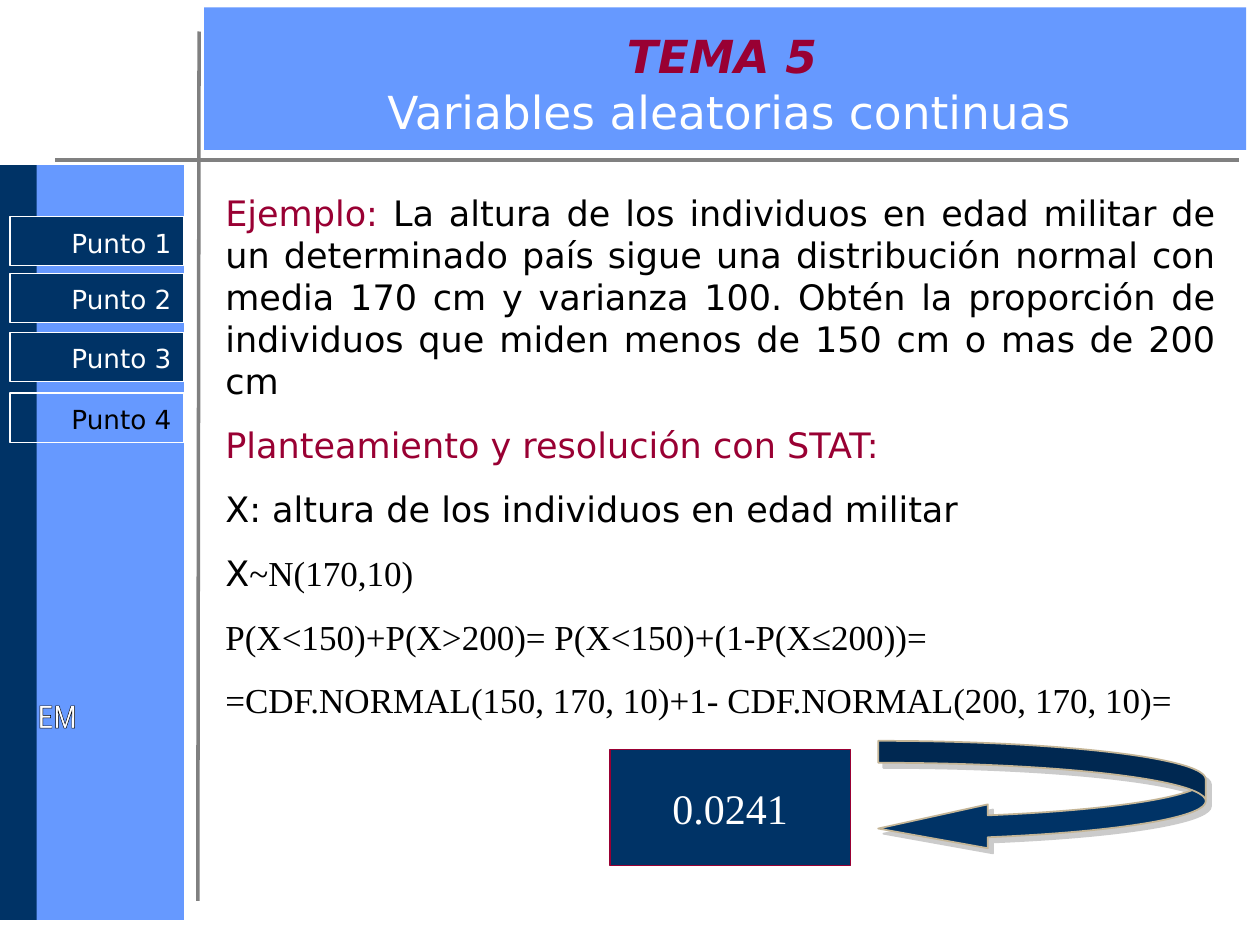
from lxml.etree import SubElement
from pptx import Presentation
from pptx.dml.color import RGBColor
from pptx.enum.shapes import MSO_CONNECTOR as Connector, MSO_SHAPE as Shape
from pptx.enum.text import MSO_ANCHOR as Anchor, PP_ALIGN as Align
from pptx.oxml import parse_xml
from pptx.oxml.ns import nsdecls, qn
from pptx.util import Inches, Pt

COLORS = {"navy": "003366", "blue": "6699FF", "wine": "990033", "white": "FFFFFF",
          "black": "000000", "gray": "808080", "sand": "C4B596", "shadow": "CBCBCB"}
SANS, SERIF, CONDENSED = "DejaVu Sans", "Times New Roman", "Roboto Condensed"

# Content: each run is (text, font, size, color)
PANELS = [((0.27, 1.31, 1.19, 5.99), "blue"), ((0, 1.31, 0.29, 5.99), "navy"),
          ((1.62, 0.06, 8.27, 1.13), "blue")]
RULES = [(0.44, 1.27, 9.83, 1.27), (1.57, 7.15, 1.58, 0.25)]
# Menu entries: label, top, fill, text color
MENU = [("Punto 4", 3.12, None, "black"), ("Punto 1", 1.72, "navy", "white"),
        ("Punto 2", 2.17, "navy", "white"), ("Punto 3", 2.64, "navy", "white")]
TITLE = [[("TEMA 5", SANS, 26, "wine"), (" ", SANS, 24, "white")],
         [("Variables aleatorias continuas", SANS, 26, "white")]]
BODY = [
    (Align.JUSTIFY, [
        ("Ejemplo:", SANS, 20, "wine"),
        (" La altura de los individuos en edad militar de un determinado país sigue una "
         "distribución normal con media 170 cm y varianza 100. Obtén la proporción de "
         "individuos que miden menos de 150 cm o mas de 200 cm", SANS, 20, "black")]),
    (Align.JUSTIFY, [("Planteamiento y resolución con STAT: ", SANS, 20, "wine")]),
    (Align.JUSTIFY, [("X: altura de los individuos en edad militar", SANS, 20, "black")]),
    (Align.JUSTIFY, [("X", SANS, 20, "black"), ("~N(170,10)", SERIF, 20, "black")]),
    (Align.LEFT, [("P(X<150)+P(X>200)= P(X<150)+(1-P(X≤200))=", SERIF, 20, "black")]),
    (Align.LEFT, [("=CDF.NORMAL(150, 170, 10)+1- CDF.NORMAL(200, 170, 10)=",
                   SERIF, 20, "black")]),
]

presentation = Presentation()
presentation.slide_width, presentation.slide_height = Inches(10), Inches(7.5)
slide = presentation.slides.add_slide(presentation.slide_layouts[6])


def rgb(name):
    return RGBColor.from_string(COLORS[name])


def add_block(kind, box, fill=None, line=None, width=0.75):
    shape = slide.shapes.add_shape(kind, *map(Inches, box))
    shape.shadow.inherit = False
    if fill:
        shape.fill.solid()
        shape.fill.fore_color.rgb = rgb(fill)
    else:
        shape.fill.background()
    if line:
        shape.line.color.rgb = rgb(line)
        shape.line.width = Pt(width)
    else:
        shape.line.fill.background()
    return shape


def set_frame(shape, anchor=Anchor.TOP, top=0.05, wrap=True):
    frame = shape.text_frame
    frame.word_wrap = wrap
    frame.vertical_anchor = anchor
    frame.margin_left = frame.margin_right = Inches(0.1)
    frame.margin_top, frame.margin_bottom = Inches(top), Inches(0.05)
    return frame


def add_text(box, **options):
    return set_frame(slide.shapes.add_textbox(*map(Inches, box)), **options)


def add_run(paragraph, text, font, size, color):
    run = paragraph.add_run()
    run.text = text
    run.font.name, run.font.size = font, Pt(size)
    run.font.color.rgb = rgb(color)
    return run


# Background panels and rules
for box, fill in PANELS:
    add_block(Shape.RECTANGLE, box, fill)
for ends in RULES:
    rule = slide.shapes.add_connector(Connector.STRAIGHT, *map(Inches, ends))
    rule.line.color.rgb = rgb("gray")
    rule.line.width = Pt(2)
    SubElement(rule._element.spPr, qn("a:effectLst"))

# Side menu
for label, top, fill, color in MENU:
    entry = add_block(Shape.RECTANGLE, (0.08, top, 1.38, 0.39), fill, "white")
    paragraph = set_frame(entry, top=0.08).paragraphs[0]
    paragraph.alignment = Align.RIGHT
    add_run(paragraph, label, SANS, 15, color)

# Outlined initials with a gradient fill
initials = add_text((0.2, 5.48, 1.83, 1.82), wrap=False).paragraphs[0]
properties = add_run(initials, "EM", CONDENSED, 18, "white").font._element
properties.remove(properties.find(qn("a:solidFill")))
stops = "".join(f'<a:gs pos="{position}"><a:srgbClr val="{color}"/></a:gs>' for position, color
                in [(0, "707070"), (50000, "FFFFFF"), (100000, "707070")])
properties.insert(0, parse_xml(
    f'<a:gradFill {nsdecls("a")}><a:gsLst>{stops}</a:gsLst><a:lin ang="2700000"/></a:gradFill>'))
properties.insert(0, parse_xml(
    f'<a:ln {nsdecls("a")} w="9525"><a:solidFill><a:srgbClr val="{COLORS["black"]}"/>'
    '</a:solidFill></a:ln>'))

# Worked example
frame = add_text((1.69, 1.47, 8.06, 3.97))
for index, (alignment, runs) in enumerate(BODY):
    paragraph = frame.add_paragraph() if index else frame.paragraphs[0]
    paragraph.alignment = alignment
    paragraph.line_spacing = Pt(24)
    paragraph.space_before = Pt(12.5 if index else 0)
    for run in runs:
        add_run(paragraph, *run)

# Result box
result = add_block(Shape.RECTANGLE, (4.84, 5.95, 1.91, 0.92), "navy", "wine")
paragraph = set_frame(result, Anchor.MIDDLE, wrap=False).paragraphs[0]
paragraph.alignment = Align.CENTER
add_run(paragraph, "0.0241", SERIF, 24, "white")

# Title
paragraph = add_text((1.71, 0.27, 8.16, 0.77), anchor=Anchor.MIDDLE).paragraphs[0]
paragraph.alignment = Align.CENTER
paragraph.line_spacing = Pt(32)
for index, runs in enumerate(TITLE):
    if index:
        paragraph.add_line_break()
    for run in runs:
        font = add_run(paragraph, *run).font
        font.bold = font.italic = index == 0

# Curved arrow to the result
arrow = add_block(Shape.CURVED_LEFT_ARROW, (6.97, 5.88, 2.6, 0.87), "navy", "sand", 1)
for index, value in enumerate((0.2, 0.4, 1.0)):
    arrow.adjustments[index] = value
effects = arrow._element.spPr.find(qn("a:effectLst"))
shadow = SubElement(effects, qn("a:outerShdw"), dist=str(Pt(4.2)), dir="2700000")
SubElement(shadow, qn("a:srgbClr"), val=COLORS["shadow"])

presentation.save("out.pptx")
